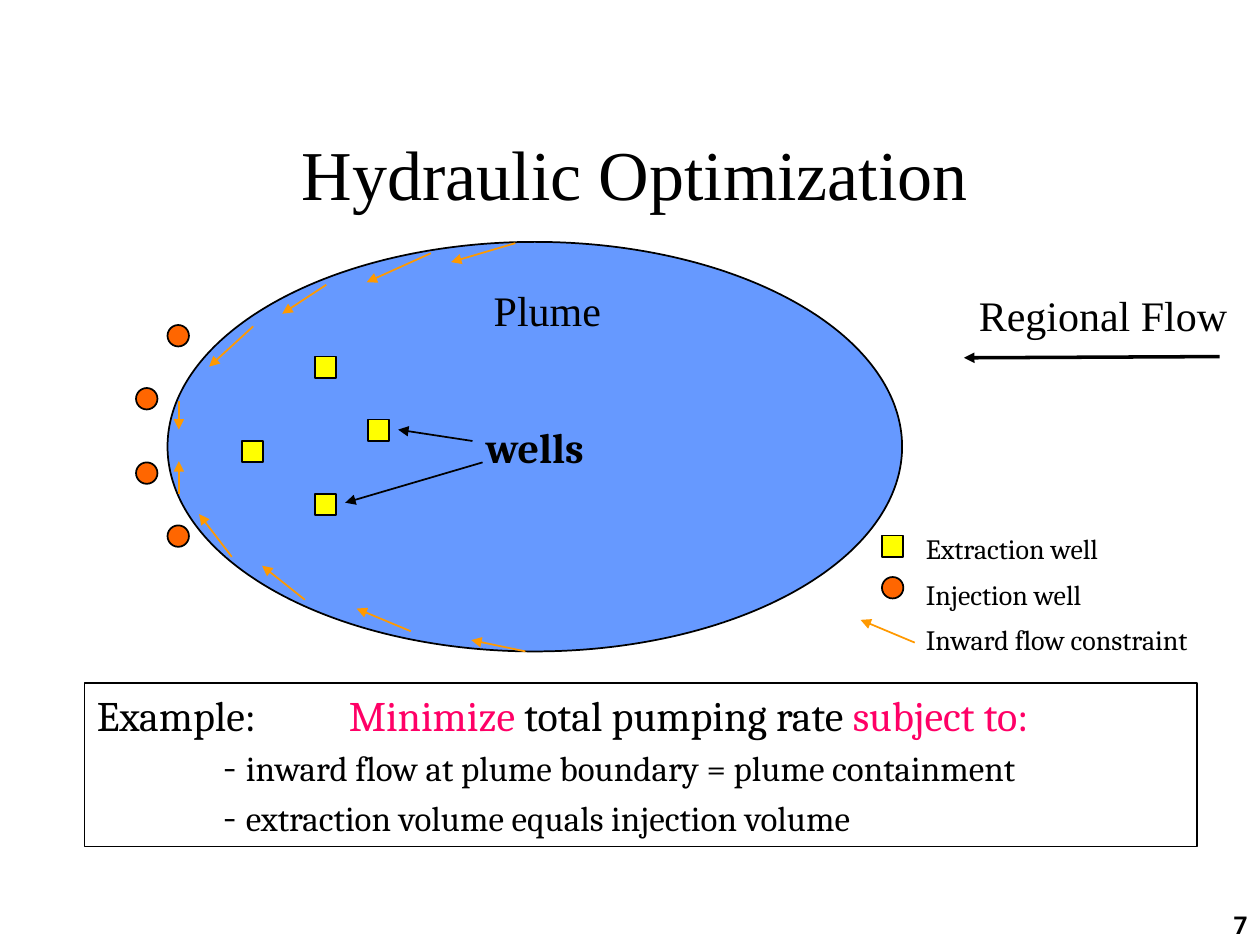
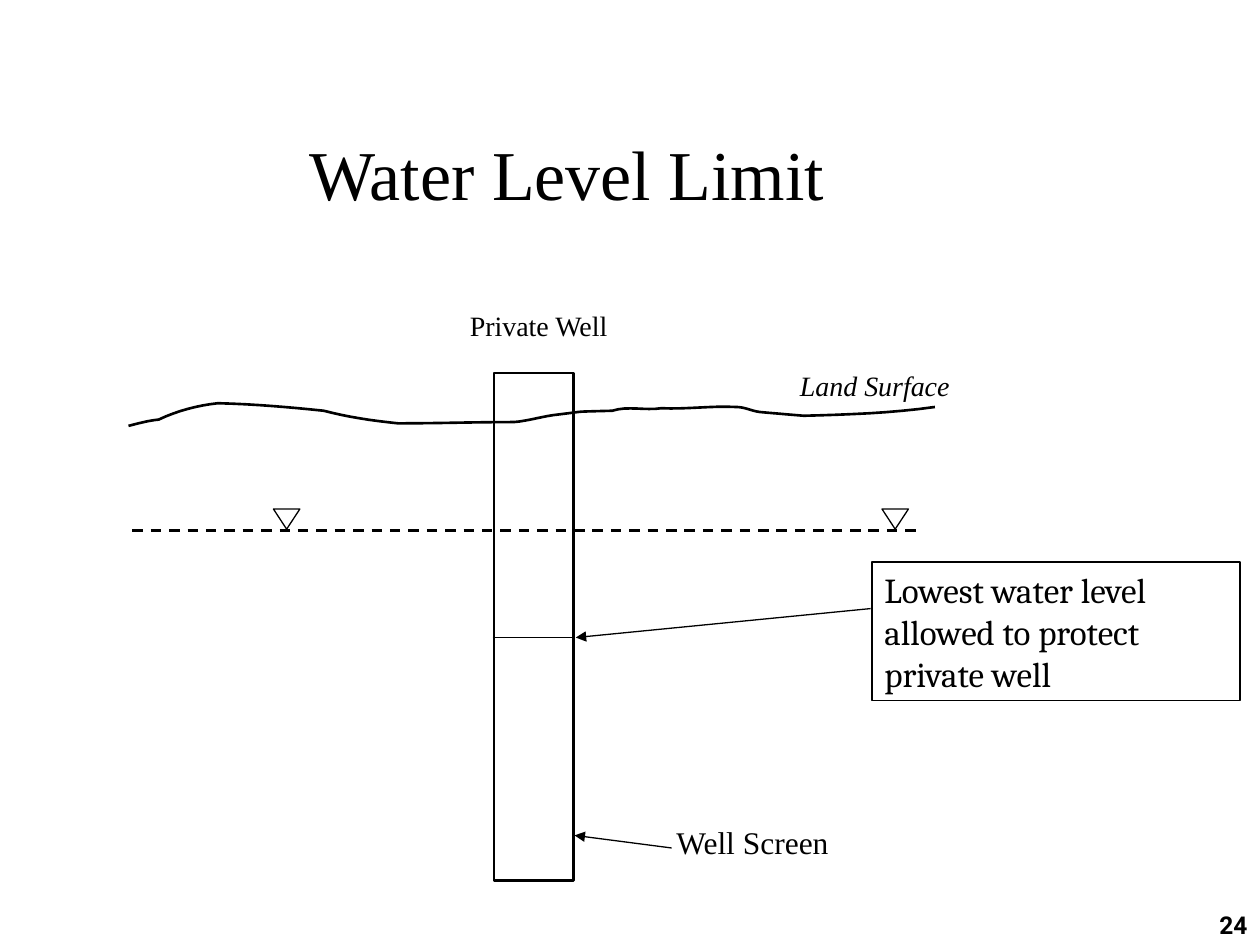
from lxml import etree
from pptx import Presentation
from pptx.dml.color import RGBColor
from pptx.enum.dml import MSO_LINE
from pptx.enum.shapes import MSO_CONNECTOR, MSO_SHAPE
from pptx.enum.text import MSO_ANCHOR, MSO_AUTO_SIZE, PP_ALIGN
from pptx.oxml.ns import qn
from pptx.util import Inches, Pt

RECTANGLE, ELLIPSE = MSO_SHAPE.RECTANGLE, MSO_SHAPE.OVAL
WATER_MARK = MSO_SHAPE.FLOWCHART_MERGE
STRAIGHT, DASH = MSO_CONNECTOR.STRAIGHT, MSO_LINE.DASH
LEFT, CENTER, RIGHT = PP_ALIGN.LEFT, PP_ALIGN.CENTER, PP_ALIGN.RIGHT

COLORS = {
    "ink": "000000",
    "plume": "6699FF",
    "extraction": "FFFF00",
    "injection": "FF6600",
    "constraint": "FF9900",
    "emphasis": "FF0066",
}
SERIF, BODY, NUMBER = "Times New Roman", "Cambria", "Roboto"
WELL_SIZE = 0.17

# Slide 1 content
EXTRACTION_WELLS = [(2.92, 3.33), (1.92, 3.5), (2.5, 2.83), (2.5, 3.92), (7, 4.25)]
INJECTION_WELLS = [(1.33, 4.17), (1.08, 3.67), (1.08, 3.08), (1.33, 2.58), (7, 4.58)]
CONSTRAINT_ARROWS = [  # start, end; the last one belongs to the legend
    (4.09, 1.93, 3.58, 2.08), (3.42, 2.01, 2.91, 2.24),
    (2.59, 2.26, 2.24, 2.49), (2.01, 2.59, 1.66, 2.91),
    (1.42, 3.18, 1.42, 3.41), (1.42, 3.92, 1.42, 3.66),
    (1.84, 4.42, 1.58, 4.08), (2.42, 4.76, 2.08, 4.49),
    (3.26, 5.01, 2.83, 4.83), (4.17, 5.17, 3.74, 5.08),
    (7.26, 5.1, 6.83, 4.92),
]
WELL_POINTERS = [(3.75, 3.5, 3.16, 3.41), (3.83, 3.67, 2.74, 3.99)]
LEGEND = ["Extraction well", "Injection well", "Inward flow constraint"]
EXAMPLE = [  # paragraphs of (text, size, colour)
    [("Example:\t", 24, "ink"), ("Minimize", 24, "emphasis"),
     (" total pumping rate ", 24, "ink"), ("subject to:", 24, "emphasis")],
    [("\t- ", 24, "ink"),
     ("inward flow at plume boundary = plume containment", 20, "ink")],
    [("\t- ", 24, "ink"), ("extraction volume equals injection volume", 20, "ink")],
]

# Slide 2 content
LAND_START = (1.02, 3.38)
LAND_CURVES = [  # two control points and an end point each
    ((1.1, 3.36), (1.17, 3.34), (1.26, 3.33)),
    ((1.41, 3.26), (1.56, 3.22), (1.73, 3.2)),
    ((2.06, 3.21), (2.27, 3.23), (2.57, 3.26)),
    ((2.76, 3.31), (2.96, 3.34), (3.16, 3.36)),
    ((3.47, 3.36), (3.78, 3.35), (4.08, 3.35)),
    ((4.2, 3.34), (4.32, 3.3), (4.43, 3.29)),
    ((4.68, 3.26), (4.53, 3.27), (4.86, 3.26)),
    ((4.98, 3.22), (5.12, 3.26), (5.25, 3.24)),
    ((5.44, 3.25), (5.65, 3.22), (5.84, 3.23)),
    ((5.91, 3.23), (5.96, 3.26), (6.03, 3.27)),
    ((6.14, 3.28), (6.38, 3.3), (6.38, 3.3)),
    ((6.73, 3.29), (7.07, 3.28), (7.42, 3.23)),
]
WATER_MARKS_X = [2.17, 7]
CALLOUT_ARROWS = [(5.33, 6.73, 4.56, 6.63), (6.91, 4.83, 4.57, 5.06)]


def rgb(color):
    return RGBColor.from_string(COLORS[color])


def add_run(paragraph, text, size, font=BODY, color="ink", bold=False, italic=False):
    run = paragraph.add_run()
    run.text = text
    run.font.name, run.font.size = font, Pt(size)
    run.font.bold, run.font.italic = bold, italic
    run.font.color.rgb = rgb(color)


def set_outline(line, width, color="ink"):
    line.color.rgb = rgb(color)
    line.width = Pt(width)


def add_figure(slide, kind, box, fill=None, width=1):
    shape = slide.shapes.add_shape(kind, *map(Inches, box))
    shape.shadow.inherit = False
    if fill:
        shape.fill.solid()
        shape.fill.fore_color.rgb = rgb(fill)
    else:
        shape.fill.background()
    set_outline(shape.line, width)
    return shape


def add_line(slide, ends, width=1, color="ink", arrow=True):
    connector = slide.shapes.add_connector(STRAIGHT, *map(Inches, ends))
    set_outline(connector.line, width, color)
    properties = connector._element.spPr
    if arrow:
        etree.SubElement(properties.find(qn("a:ln")), qn("a:tailEnd"), type="triangle")
    etree.SubElement(properties, qn("a:effectLst"))
    return connector


def add_label(slide, box, text, size, font=SERIF, align=LEFT, wrap=False, **style):
    label = slide.shapes.add_textbox(*map(Inches, box))
    frame = label.text_frame
    frame.word_wrap = wrap
    frame.auto_size = MSO_AUTO_SIZE.NONE if wrap else MSO_AUTO_SIZE.SHAPE_TO_FIT_TEXT
    frame.paragraphs[0].alignment = align
    add_run(frame.paragraphs[0], text, size, font, **style)
    return frame


def fill_box(shape, paragraphs):
    """Write left-aligned paragraphs of (text, size, colour) runs from the top."""
    frame = shape.text_frame
    frame.word_wrap = True
    frame.vertical_anchor = MSO_ANCHOR.TOP
    for index, runs in enumerate(paragraphs):
        paragraph = frame.add_paragraph() if index else frame.paragraphs[0]
        paragraph.alignment = LEFT
        stops = etree.SubElement(paragraph._p.get_or_add_pPr(), qn("a:tabLst"))
        for inch in (1, 2):
            etree.SubElement(stops, qn("a:tab"), pos=str(Inches(inch)), algn="l")
        for text, size, color in runs:
            add_run(paragraph, text, size, color=color)


def add_slide(presentation, heading, heading_width, number):
    slide = presentation.slides.add_slide(presentation.slide_layouts[5])
    title = slide.shapes.title
    title.left, title.top = Inches(0.25), Inches(0.5)
    title.width, title.height = Inches(heading_width), Inches(1.25)
    frame = title.text_frame
    frame.auto_size = MSO_AUTO_SIZE.NONE
    frame.vertical_anchor = MSO_ANCHOR.BOTTOM
    frame.paragraphs[0].alignment = CENTER
    add_run(frame.paragraphs[0], heading, 40, SERIF)
    add_label(slide, (7.92, 7.17, 2.08, 0.5), number, 14, NUMBER, RIGHT,
              wrap=True, bold=True)
    return slide


def curve_points(start, curves, steps=8):
    """Sample a chain of cubic curves."""
    points = []
    for first, second, end in curves:
        for step in range(1, steps + 1):
            t = step / steps
            weights = ((1 - t) ** 3, 3 * t * (1 - t) ** 2, 3 * t * t * (1 - t), t ** 3)
            corners = (start, first, second, end)
            points.append(tuple(
                Inches(sum(w * corner[axis] for w, corner in zip(weights, corners)))
                for axis in (0, 1)))
        start = end
    return points


def build_hydraulic_slide(presentation):
    slide = add_slide(presentation, "Hydraulic Optimization", 9.58, "7")

    # Plume and regional flow
    plume = add_figure(slide, ELLIPSE, (1.33, 1.92, 5.83, 3.25), "plume")
    frame = plume.text_frame
    frame.word_wrap = False
    frame.vertical_anchor = MSO_ANCHOR.MIDDLE
    frame.paragraphs[0].alignment = CENTER
    add_run(frame.paragraphs[0], "wells", 24, bold=True)
    add_label(slide, (3.82, 2.21, 1.05, 0.5), "Plume", 24)
    add_label(slide, (7.67, 2.25, 2.17, 0.5), "Regional Flow", 24)
    add_line(slide, (9.68, 2.83, 7.65, 2.84), width=2)

    # Wells and arrows, with the legend keys
    for kind, color, wells in ((RECTANGLE, "extraction", EXTRACTION_WELLS),
                               (ELLIPSE, "injection", INJECTION_WELLS)):
        for left, top in wells:
            add_figure(slide, kind, (left, top, WELL_SIZE, WELL_SIZE), color)
    for ends in WELL_POINTERS:
        add_line(slide, ends)
    for ends in CONSTRAINT_ARROWS:
        add_line(slide, ends, color="constraint")

    # Legend text
    frame = add_label(slide, (7.25, 4.08, 2.64, 1.18), LEGEND[0], 16, BODY)
    for entry in LEGEND[1:]:
        add_run(frame.add_paragraph(), entry, 16)
    for paragraph in frame.paragraphs:
        paragraph.line_spacing = 1.35

    # Example
    fill_box(add_figure(slide, RECTANGLE, (0.67, 5.42, 8.83, 1.3)), EXAMPLE)


def build_water_level_slide(presentation):
    slide = add_slide(presentation, "Water Level Limit", 8.5, "24")

    # Land surface
    builder = slide.shapes.build_freeform(*map(Inches, LAND_START))
    builder.add_line_segments(curve_points(LAND_START, LAND_CURVES), close=False)
    land = builder.convert_to_shape()
    land.shadow.inherit = False
    land.fill.background()
    set_outline(land.line, 1.5)
    add_label(slide, (6.25, 2.88, 1.39, 0.37), "Land Surface", 16, italic=True)

    # Water table
    water_table = add_line(slide, (1.05, 4.21, 7.3, 4.21), width=1.5, arrow=False)
    water_table.line.dash_style = DASH
    for left in WATER_MARKS_X:
        add_figure(slide, WATER_MARK, (left, 4.04, 0.21, 0.16), width=0.75)

    # Private well and its lowest level
    add_figure(slide, RECTANGLE, (3.92, 2.96, 0.63, 4.03), width=1.5)
    add_line(slide, (3.91, 5.06, 4.54, 5.06), width=0.75, arrow=False)
    add_label(slide, (3.62, 2.4, 1.31, 0.37), "Private Well", 16, align=CENTER)

    # Callouts
    limit = add_figure(slide, RECTANGLE, (6.92, 4.46, 2.92, 1.1))
    fill_box(limit, [[("Lowest water level allowed to protect private well", 20, "ink")]])
    add_label(slide, (5.27, 6.48, 1.43, 0.4), "Well Screen", 18)
    for ends in CALLOUT_ARROWS:
        add_line(slide, ends, width=0.75)


def main():
    presentation = Presentation()
    presentation.slide_width, presentation.slide_height = Inches(10), Inches(7.5)
    build_hydraulic_slide(presentation)
    build_water_level_slide(presentation)
    presentation.save("out.pptx")


if __name__ == "__main__":
    main()
